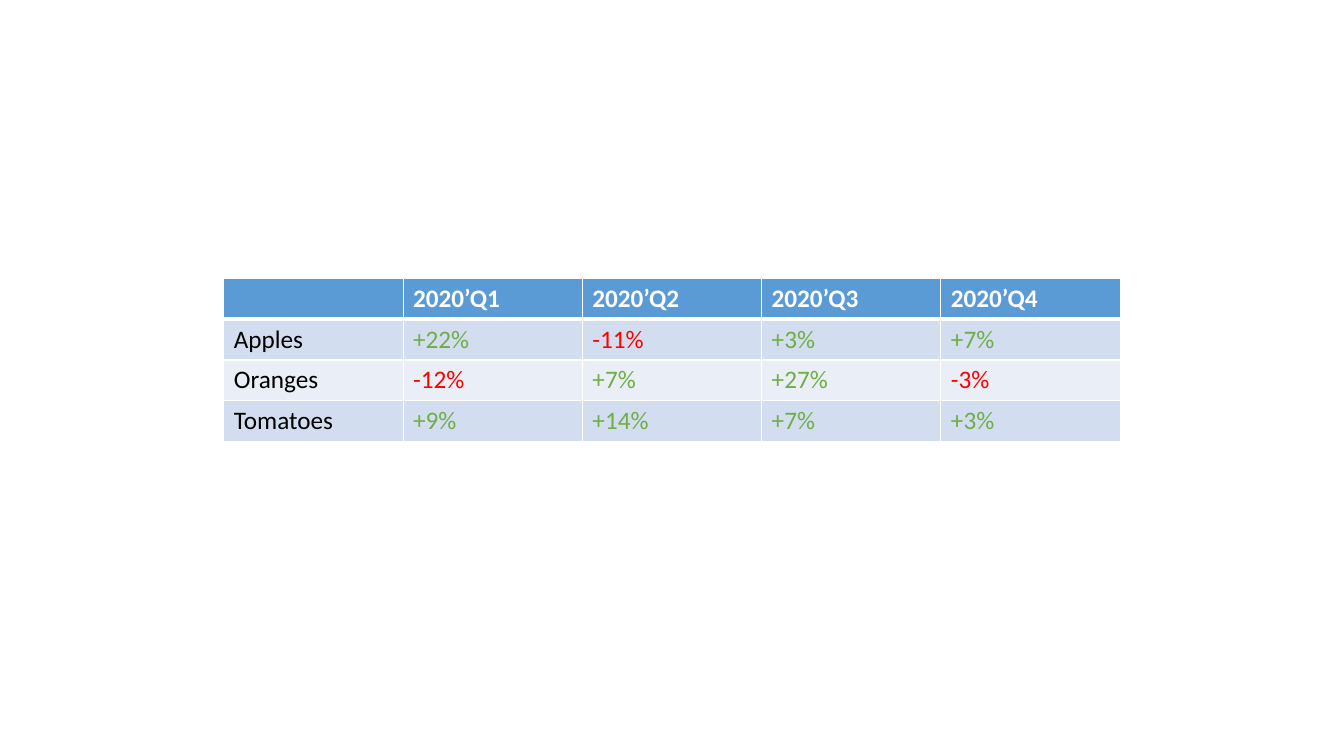
"""Build a slide with a table of quarterly changes per fruit."""
from lxml import etree
from pptx import Presentation
from pptx.dml.color import RGBColor
from pptx.oxml.ns import qn
from pptx.util import Inches, Pt

ROWS = [
    ("", "2020’Q1", "2020’Q2", "2020’Q3", "2020’Q4"),
    ("Apples", "+22%", "-11%", "+3%", "+7%"),
    ("Oranges", "-12%", "+7%", "+27%", "-3%"),
    ("Tomatoes", "+9%", "+14%", "+7%", "+3%"),
]
COLORS = {
    "header": "5B9BD5", "odd": "D2DEEF", "even": "EAEFF7",
    "white": "FFFFFF", "label": "000000", "+": "70AD47", "-": "FF0000",
}
FONT, SIZE = "Calibri", 18
SLIDE_W, SLIDE_H = 13.33, 7.5
LEFT, TOP, WIDTH, HEIGHT = 2.22, 2.76, 8.89, 1.62
THIN, THICK = 1, 3


def set_borders(cell, widths):
    """Draw white cell borders with the given widths in points."""
    tc_pr = cell._tc.get_or_add_tcPr()
    for side, width in widths.items():
        ln = etree.SubElement(tc_pr, qn(f"a:ln{side}"), w=str(Pt(width)))
        fill = etree.SubElement(ln, qn("a:solidFill"))
        etree.SubElement(fill, qn("a:srgbClr"), val=COLORS["white"])


def fill_cell(cell, value, row, col):
    """Write and format one table cell."""
    header = row == 0
    set_borders(cell, {"L": THIN, "R": THIN,
                       "T": THICK if row == 1 else THIN,
                       "B": THICK if header else THIN})
    band = "header" if header else "odd" if row % 2 else "even"
    cell.fill.solid()
    cell.fill.fore_color.rgb = RGBColor.from_string(COLORS[band])
    cell.text_frame.text = value
    ink = "white" if header else "label" if col == 0 else value[0]
    for r in cell.text_frame.paragraphs[0].runs:
        r.font.name, r.font.size, r.font.bold = FONT, Pt(SIZE), header
        r.font.color.rgb = RGBColor.from_string(COLORS[ink])


def main():
    """Create the presentation and save it."""
    prs = Presentation()
    prs.slide_width, prs.slide_height = Inches(SLIDE_W), Inches(SLIDE_H)
    s = prs.slides.add_slide(prs.slide_layouts[6])
    table = s.shapes.add_table(len(ROWS), len(ROWS[0]), Inches(LEFT), Inches(TOP),
                               Inches(WIDTH), Inches(HEIGHT)).table
    for row, values in enumerate(ROWS):
        for col, value in enumerate(values):
            fill_cell(table.cell(row, col), value, row, col)
    prs.save("out.pptx")


if __name__ == "__main__":
    main()
